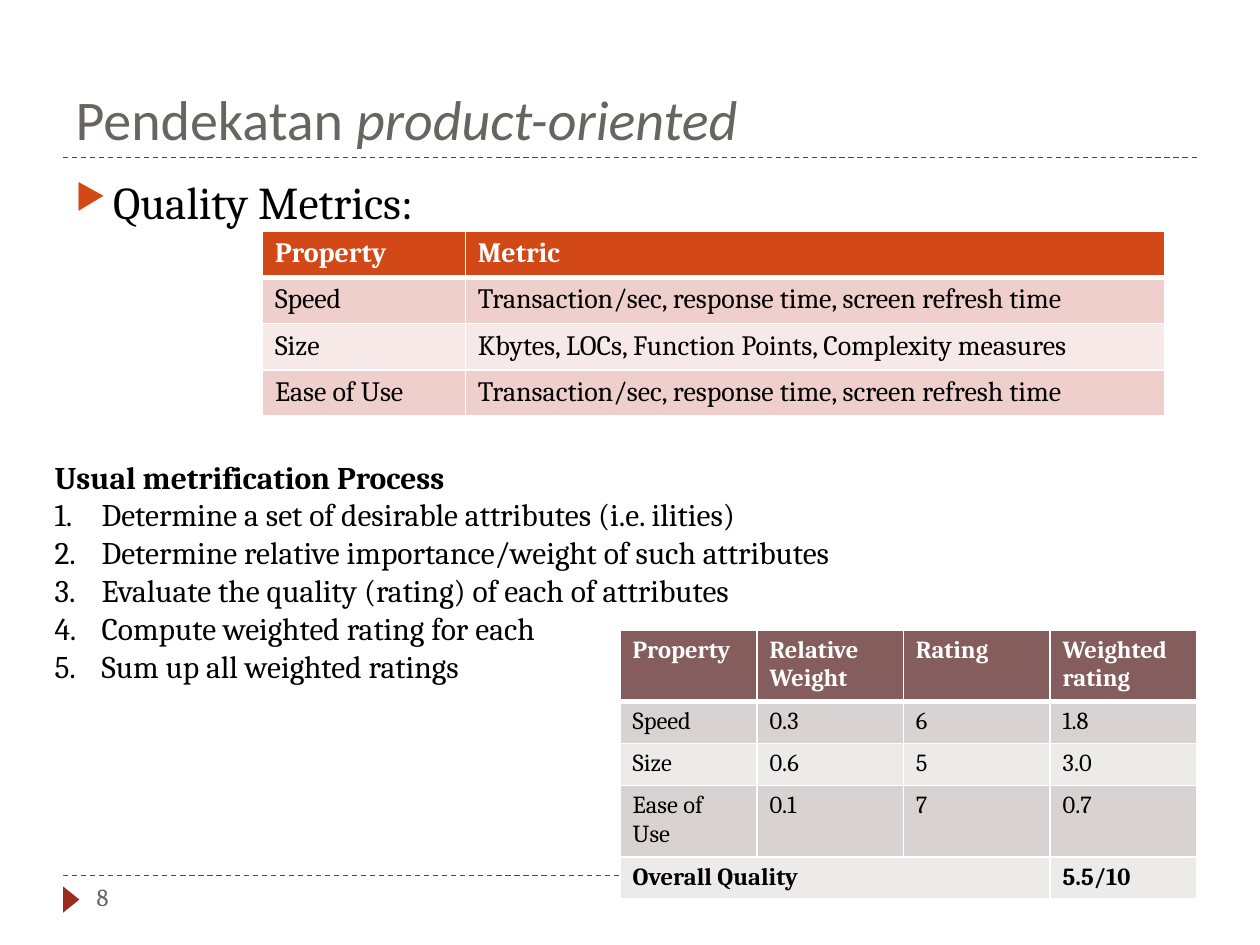
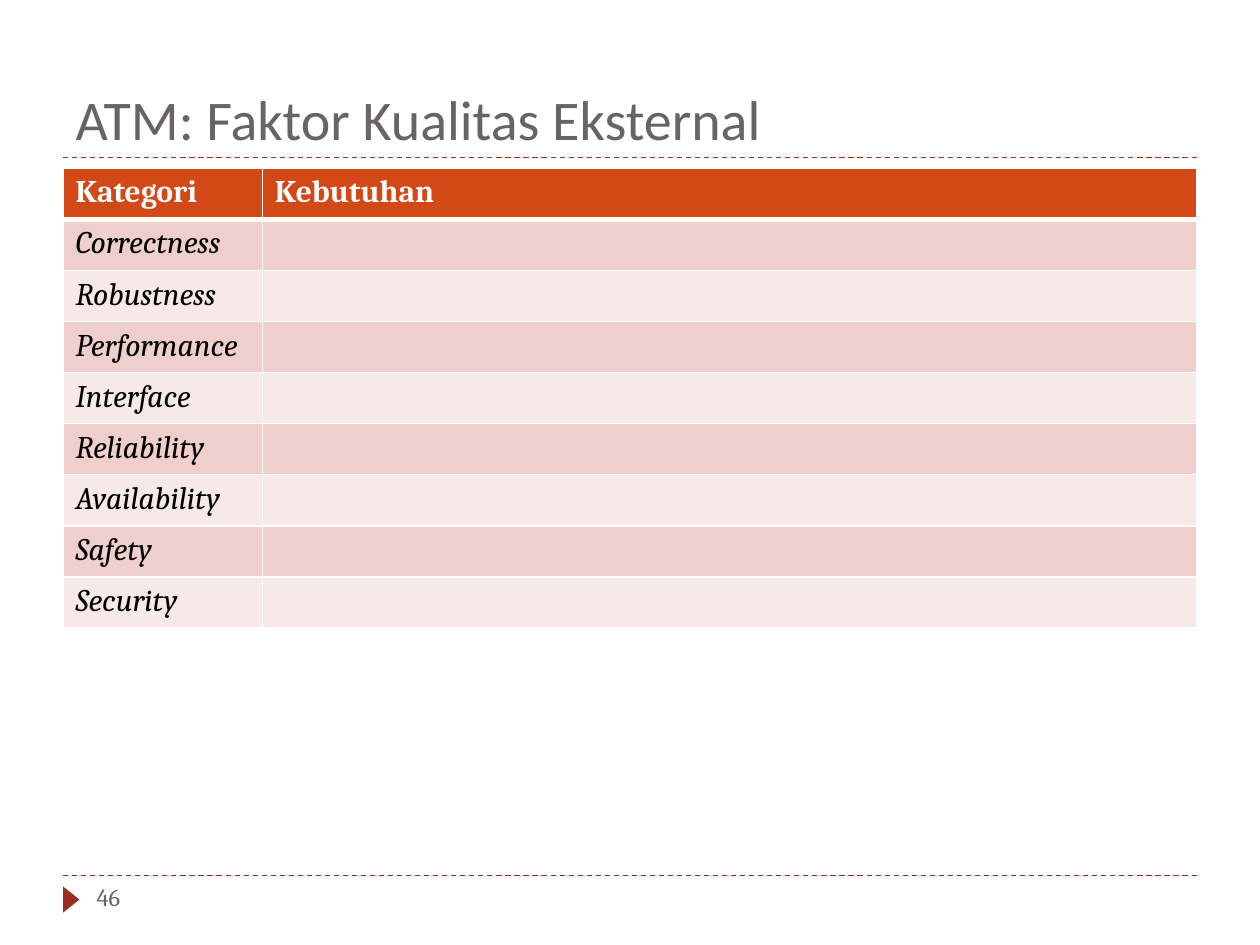
from lxml.etree import SubElement
from pptx import Presentation
from pptx.dml.color import RGBColor
from pptx.enum.dml import MSO_LINE
from pptx.enum.shapes import MSO_CONNECTOR, MSO_SHAPE
from pptx.enum.text import MSO_ANCHOR, PP_ALIGN
from pptx.oxml.ns import qn
from pptx.util import Cm, Pt

HEAD_FONT, BODY_FONT = "Calibri", "Cambria"
GREY, BLACK, WHITE = "696464", "000000", "FFFFFF"
RUST, ORANGE = "9B2D1F", "D34817"
ORANGE_TABLE = {"head": ORANGE, "bands": ("EFCFCC", "F7E9E8")}
MAUVE_TABLE = {"head": "855D5D", "bands": ("D9D2D2", "EDEAEA")}
LEFT, WIDTH = 1.27, 22.86
TITLE_LINE, FOOTER_LINE = 3.18, 17.65

METRICS = [
    ("Property", "Metric"),
    ("Speed", "Transaction/sec, response time, screen refresh time"),
    ("Size", "Kbytes, LOCs, Function Points, Complexity measures"),
    ("Ease of Use", "Transaction/sec, response time, screen refresh time"),
]
RATINGS = [
    ("Property", "Relative Weight", "Rating", "Weighted rating"),
    ("Speed", "0.3", "6", "1.8"),
    ("Size", "0.6", "5", "3.0"),
    ("Ease of Use", "0.1", "7", "0.7"),
    ("Overall Quality", "", "", "5.5/10"),
]
PROCESS_TITLE = "Usual metrification Process"
PROCESS = [
    "Determine a set of desirable attributes (i.e. ilities)",
    "Determine relative importance/weight of such attributes",
    "Evaluate the quality (rating) of each of attributes",
    "Compute weighted rating for each",
    "Sum up all weighted ratings",
]
FACTORS = ["Correctness", "Robustness", "Performance", "Interface",
           "Reliability", "Availability", "Safety", "Security"]


def colour(value):
    """Turn a hex string into a colour."""
    return RGBColor.from_string(value)


def write(para, text, size=18, font=BODY_FONT, ink=BLACK, bold=False, italic=False):
    """Add one formatted run to a paragraph."""
    span = para.add_run()
    span.text = text
    span.font.name, span.font.size = font, Pt(size)
    span.font.bold, span.font.italic = bold, italic
    span.font.color.rgb = colour(ink)


def add_box(page, left, top, width, height):
    """Add a wrapping text box and return its frame."""
    frame = page.shapes.add_textbox(Cm(left), Cm(top), Cm(width), Cm(height)).text_frame
    frame.word_wrap = True
    return frame


def add_bullet(para, indent, kind, **settings):
    """Give a paragraph a hanging indent and a bullet element."""
    properties = para._p.get_or_add_pPr()
    properties.set("marL", str(Cm(indent)))
    properties.set("indent", str(-Cm(indent)))
    if kind == "a:buChar":
        tint = SubElement(properties, qn("a:buClr"))
        SubElement(tint, qn("a:srgbClr")).set("val", ORANGE)
        SubElement(properties, qn("a:buSzPct")).set("val", "76000")
    bullet = SubElement(properties, qn(kind))
    for name, value in settings.items():
        bullet.set(name, value)


def add_borders(cell, top, bottom):
    """Draw white cell borders with the given top and bottom weights."""
    properties = cell._tc.get_or_add_tcPr()
    sides = (("a:lnL", 1), ("a:lnR", 1), ("a:lnT", top), ("a:lnB", bottom))
    for place, (side, weight) in enumerate(sides):
        line = SubElement(properties, qn(side), w=str(Pt(weight)))
        fill = SubElement(line, qn("a:solidFill"))
        SubElement(fill, qn("a:srgbClr")).set("val", WHITE)
        properties.insert(place, line)


def add_table(page, rows, left, top, widths, heights, size, palette,
              italic=False, total=False):
    """Add a banded table, with an optional merged total row."""
    frame = page.shapes.add_table(len(rows), len(widths), Cm(left), Cm(top),
                                  Cm(sum(widths)), Cm(sum(heights)))
    table = frame.table
    table.horz_banding = False
    for column, width in zip(table.columns, widths):
        column.width = Cm(width)
    for index, (row, height, values) in enumerate(zip(table.rows, heights, rows)):
        row.height = Cm(height)
        head = index == 0
        bold = head or (total and index == len(rows) - 1)
        for cell, text in zip(row.cells, values):
            cell.fill.solid()
            cell.fill.fore_color.rgb = colour(
                palette["head"] if head else palette["bands"][(index - 1) % 2])
            add_borders(cell, 3 if index == 1 else 1, 3 if head else 1)
            if text:
                write(cell.text_frame.paragraphs[0], text, size=size, bold=bold,
                      ink=WHITE if head else BLACK, italic=italic and not head)
    if total:
        last = len(rows) - 1
        table.cell(last, 0).merge(table.cell(last, len(widths) - 2))


def add_page(deck, number, title):
    """Add a slide with title, dashed rules, marker and page number."""
    page = deck.slides.add_slide(deck.slide_layouts[5])
    box = page.shapes.title
    box.left, box.top, box.width, box.height = Cm(LEFT), Cm(0.43), Cm(WIDTH), Cm(2.75)
    box.text_frame.vertical_anchor = MSO_ANCHOR.BOTTOM
    para = box.text_frame.paragraphs[0]
    para.alignment = PP_ALIGN.LEFT
    for text, italic in title:
        write(para, text, size=32, font=HEAD_FONT, ink=GREY, italic=italic)
    for height in (FOOTER_LINE, TITLE_LINE):
        rule = page.shapes.add_connector(MSO_CONNECTOR.STRAIGHT, Cm(LEFT), Cm(height),
                                         Cm(LEFT + WIDTH), Cm(height))
        rule.line.color.rgb = colour(RUST)
        rule.line.width = Pt(0.75)
        rule.line.dash_style = MSO_LINE.DASH
        SubElement(rule._element.spPr, qn("a:effectLst"))
    marker = page.shapes.add_shape(MSO_SHAPE.ISOSCELES_TRIANGLE,
                                   Cm(1.17), Cm(17.97), Cm(0.53), Cm(0.33))
    marker.rotation = 90
    marker.shadow.inherit = False
    marker.fill.solid()
    marker.fill.fore_color.rgb = colour(RUST)
    marker.line.fill.background()
    footer = add_box(page, 1.7, FOOTER_LINE, 5.5, 1.02)
    write(footer.paragraphs[0], str(number), size=14, ink=GREY)
    return page


def build_metrics(deck):
    """Build the slide on product-oriented quality metrics."""
    page = add_page(deck, 8, [("Pendekatan ", False), ("product-oriented", True)])
    para = add_box(page, LEFT, 3.39, WIDTH, 13.72).paragraphs[0]
    para.space_before = Pt(6)
    add_bullet(para, 0.76, "a:buChar", char="▶")
    write(para, "Quality Metrics:", size=26)
    add_table(page, METRICS, 5.29, 4.66, (4.09, 14.1), [0.9] * len(METRICS),
              16, ORANGE_TABLE)
    add_table(page, RATINGS, 12.5, 12.7, (2.76, 2.95, 2.96, 2.96),
              (1.37, 0.82, 0.82, 1.4, 0.82), 14, MAUVE_TABLE, total=True)
    frame = add_box(page, 0.85, 9.1, 17, 4.88)
    write(frame.paragraphs[0], PROCESS_TITLE, bold=True)
    for step in PROCESS:
        para = frame.add_paragraph()
        add_bullet(para, 0.95, "a:buAutoNum", type="arabicPeriod")
        write(para, step)


def build_factors(deck):
    """Build the slide on external quality factors."""
    page = add_page(deck, 46, [("ATM: Faktor Kualitas Eksternal", False)])
    rows = [("Kategori", "Kebutuhan")] + [(factor, "") for factor in FACTORS]
    add_table(page, rows, LEFT, 3.39, (4.02, 18.84), [1.03] * len(rows),
              18, ORANGE_TABLE, italic=True)


deck = Presentation()
deck.slide_width, deck.slide_height = Cm(25.4), Cm(19.05)
build_metrics(deck)
build_factors(deck)
deck.save("out.pptx")
